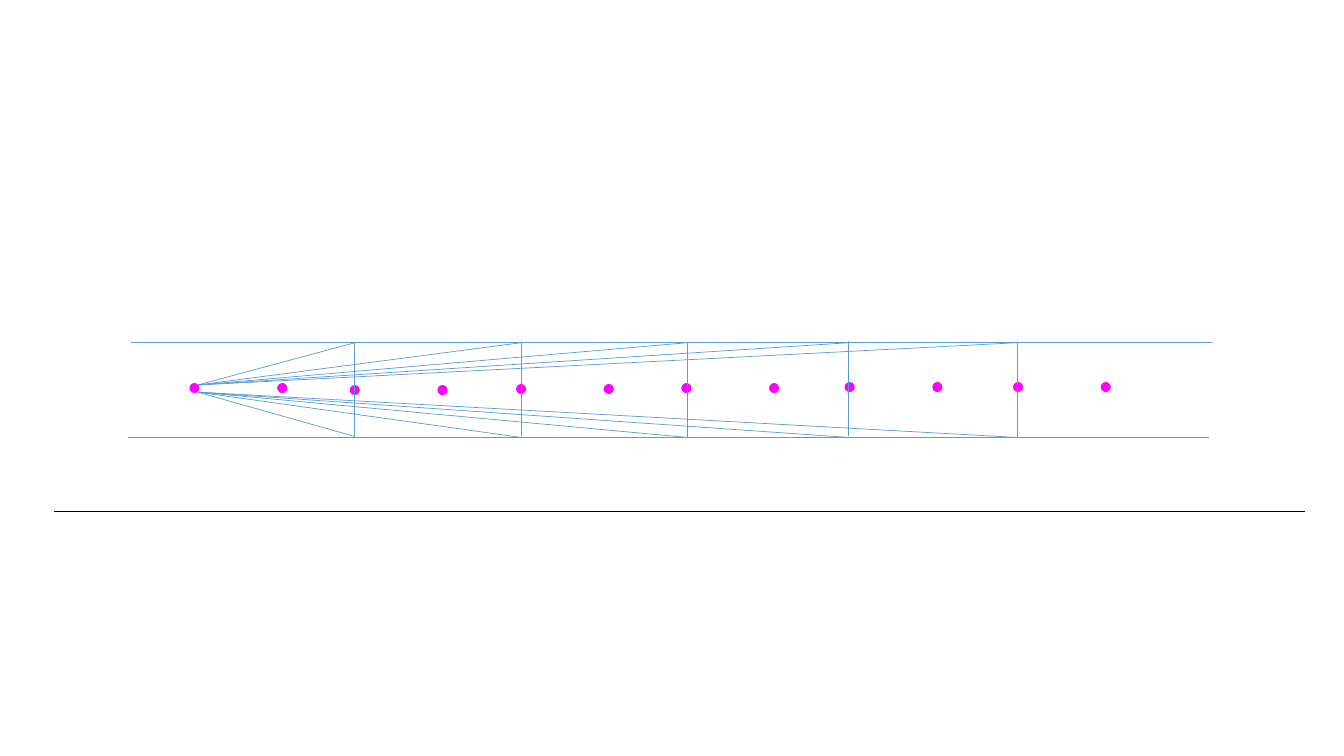
from lxml import etree
from pptx import Presentation
from pptx.dml.color import RGBColor
from pptx.enum.shapes import MSO_CONNECTOR, MSO_SHAPE
from pptx.oxml.ns import qn
from pptx.util import Pt

STRAIGHT = MSO_CONNECTOR.STRAIGHT
OVAL = MSO_SHAPE.OVAL

BLUE, BLACK, MAGENTA = "5B9BD5", "000000", "FF00FF"
TOP, BOTTOM = 244.8, 312.48      # the two rails
DOT_SIZE, PAIR_GAP = 7.2, 62.64

# Left and top of the first dot in each pair
DOT_PAIRS = [(135.36, 273.6), (249.84, 275.04), (368.64, 274.32),
             (486.72, 273.6), (603.36, 272.88), (723.6, 272.88)]

# Each post: x, lower end, upper end, and where the lower ray meets it
POSTS = [(253.44, 312.48, 244.8, 311.76),
         (372.24, 311.76, 244.08, BOTTOM),
         (491.04, 312.48, 244.08, BOTTOM),
         (606.24, 311.76, 243.36, BOTTOM),
         (726.48, 312.48, 244.08, BOTTOM)]

# Starting points of the rays beside the first dot
RAY_X, UPPER_RAY_Y, LOWER_RAY_Y = 141.12, 275.04, 280.08


def rgb(color):
    return RGBColor.from_string(color)


def add_line(s, x1, y1, x2, y2, color=BLUE):
    line = s.shapes.add_connector(STRAIGHT, Pt(x1), Pt(y1), Pt(x2), Pt(y2))
    line.line.color.rgb = rgb(color)
    line.line.width = Pt(0.5)
    etree.SubElement(line._element.spPr, qn("a:effectLst"))


def add_dot(s, x, y):
    dot = s.shapes.add_shape(OVAL, Pt(x), Pt(y), Pt(DOT_SIZE), Pt(DOT_SIZE))
    dot.shadow.inherit = False
    dot.fill.solid()
    dot.fill.fore_color.rgb = rgb(MAGENTA)
    dot.line.fill.background()


def main():
    prs = Presentation()
    prs.slide_width, prs.slide_height = Pt(960), Pt(540)
    s = prs.slides.add_slide(prs.slide_layouts[6])

    # Rails and ground line
    add_line(s, 93.6, TOP, 865.44, TOP)
    add_line(s, 91.44, BOTTOM, 863.28, BOTTOM)
    add_line(s, 38.88, 365.04, 932.4, 365.04, BLACK)

    # Dots, in pairs
    for x, y in DOT_PAIRS:
        add_dot(s, x, y)
        add_dot(s, x + PAIR_GAP, y)

    # Upright posts
    for x, low, high, _ in POSTS:
        add_line(s, x, low, x, high)

    # Rays from the first dot to both ends of each post
    for x, _, _, ray_end in POSTS:
        add_line(s, RAY_X, UPPER_RAY_Y, x, TOP)
        add_line(s, RAY_X, LOWER_RAY_Y, x, ray_end)

    prs.save("out.pptx")


if __name__ == "__main__":
    main()
